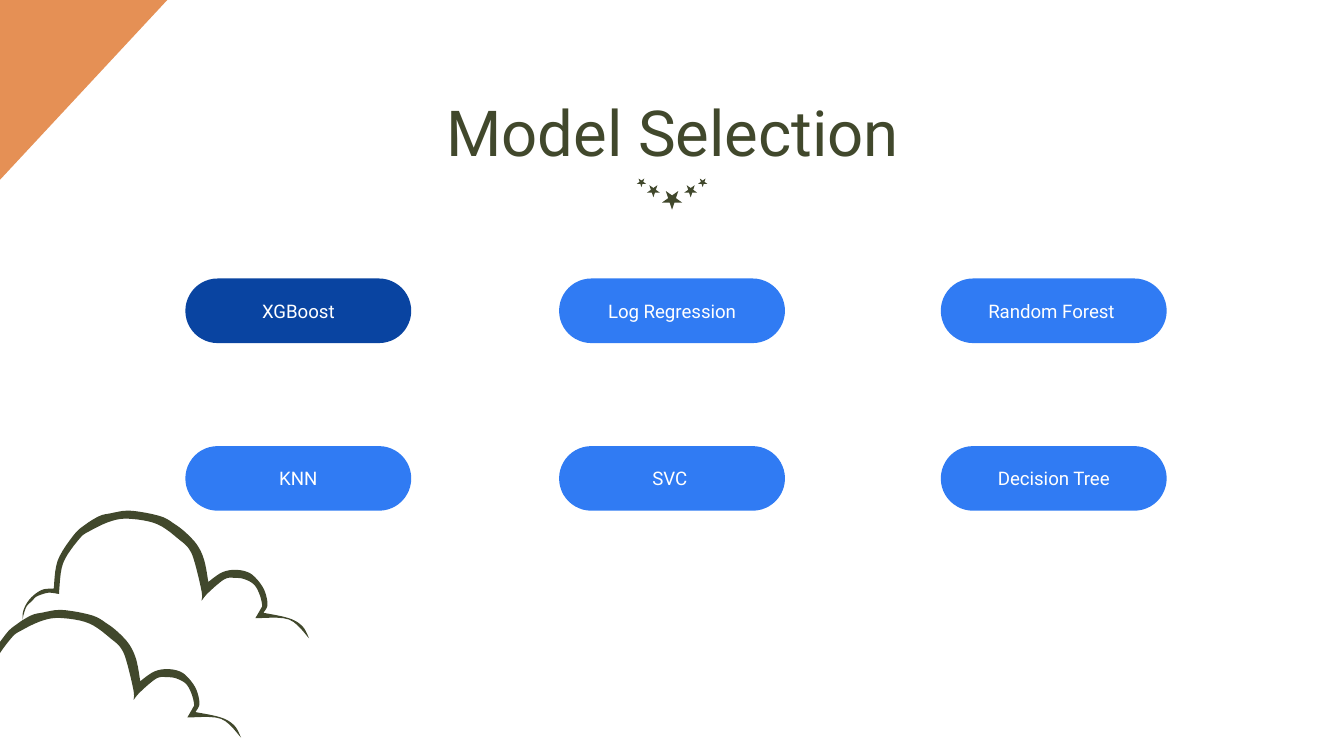
from itertools import product

from pptx import Presentation
from pptx.dml.color import RGBColor
from pptx.enum.shapes import MSO_SHAPE
from pptx.enum.text import MSO_ANCHOR, PP_ALIGN
from pptx.util import Pt

OLIVE = RGBColor(0x41, 0x48, 0x2C)
ORANGE = RGBColor(0xE5, 0x90, 0x55)
NAVY = RGBColor(0x09, 0x44, 0xA1)
BLUE = RGBColor(0x30, 0x7B, 0xF3)
WHITE = RGBColor(0xFF, 0xFF, 0xFF)

CLOUD_UNITS = (213, 95)
CLOUD_CURVES = [
    [(23, 58), (26, 37), (38, 18), (47, 10), (57, 4), (65, 2), (80, 0),
     (102, 4), (113, 10), (122, 17), (130, 26), (135, 37), (138, 53)],
    [(138, 53), (148, 46), (158, 44), (168, 46), (175, 52), (180, 60),
     (182, 70), (179, 76)],
    [(179, 76), (198, 80), (208, 86), (213, 95)],
    [(213, 95), (198, 81), (173, 80)],
    [(173, 80), (177, 73), (178, 70), (176, 62), (172, 55), (165, 51),
     (158, 50), (150, 51), (138, 61), (133, 67)],
    [(133, 67), (133, 60), (128, 39), (124, 29), (117, 22), (100, 10),
     (79, 6), (65, 8), (50, 15), (42, 21), (30, 39), (27, 60)],
    [(27, 62), (20, 61), (15, 62), (10, 64), (7, 67), (3, 71), (1, 76),
     (0, 81), (1, 87)],
    [(1, 87), (0, 76), (5, 66), (14, 59), (23, 58)],
]
MODELS = [
    ["XGBoost", "Log Regression", "Random Forest "],
    ["KNN", "SVC ", "Decision Tree"],
]


def set_values(target, values):
    """Set every attribute named in values on target."""
    for name, value in values.items():
        setattr(target, name, value)


def paint(shape, color):
    """Give a shape a flat fill without line or shadow."""
    shape.shadow.inherit = False
    shape.fill.solid()
    shape.fill.fore_color.rgb = color
    shape.line.fill.background()


def write(shape, text, size, color, anchor, wrap=True):
    """Write one centred line of text into a shape."""
    frame = shape.text_frame
    inset = Pt(7.2)
    set_values(frame, {
        "word_wrap": wrap, "vertical_anchor": anchor,
        "margin_left": inset, "margin_right": inset,
        "margin_top": inset, "margin_bottom": inset,
    })
    para = frame.paragraphs[0]
    para.alignment = PP_ALIGN.CENTER
    span = para.add_run()
    span.text = text
    set_values(span.font, {"size": Pt(size), "name": "Roboto"})
    span.font.color.rgb = color


def smooth(knots, steps=6):
    """Return points on a Catmull-Rom curve through the knots."""
    padded = [knots[0], *knots, knots[-1]]
    points = [knots[0]]
    for a, b, c, d in zip(padded, padded[1:], padded[2:], padded[3:]):
        for step in range(1, steps + 1):
            t = step / steps
            points.append(tuple(
                q + t * (r - p) / 2
                + t ** 2 * (2 * p - 5 * q + 4 * r - s) / 2
                + t ** 3 * (3 * q - p - 3 * r + s) / 2
                for p, q, r, s in zip(a, b, c, d)))
    return points


def add_outline(page, points, color):
    """Draw a closed filled outline through points."""
    start, *rest = [(Pt(x), Pt(y)) for x, y in points]
    builder = page.shapes.build_freeform(*start)
    builder.add_line_segments(rest, close=True)
    paint(builder.convert_to_shape(), color)


def add_cloud(page, left, top, width, height):
    """Draw a brushed cloud line that fills the box."""
    across, down = width / CLOUD_UNITS[0], height / CLOUD_UNITS[1]
    points = [(left + x * across, top + y * down)
              for curve in CLOUD_CURVES for x, y in smooth(curve)]
    add_outline(page, points, OLIVE)


def add_corner(page, left, top, width, height):
    """Draw the triangle in the upper left corner of the box."""
    add_outline(page, [(left, top), (left + width, top),
                       (left, top + height)], ORANGE)


def add_title(page, left, top, width, height):
    """Place the title in the box."""
    box = page.shapes.add_textbox(Pt(left), Pt(top), Pt(width), Pt(height))
    write(box, "Model Selection", 34, OLIVE, MSO_ANCHOR.TOP)


def add_stars(page, left, top, width, height):
    """Hang five stars in a V that spans the box."""
    middle = left + width / 2
    stars = [(0, 10.8, height - 10)]
    stars += [(side * offset, size, drop) for side in (-1, 1)
              for offset, size, drop in [(10, 7, 3.6), (16.4, 5, 0)]]
    for offset, size, drop in stars:
        star = page.shapes.add_shape(
            MSO_SHAPE.STAR_5_POINT, Pt(middle + offset - size / 2),
            Pt(top + drop), Pt(size), Pt(size * 0.93))
        star.rotation = 180
        paint(star, OLIVE)


def add_models(page, left, top, width, height):
    """Place the model pills in a grid, the chosen one darker."""
    pill_width, pill_height = 121, 34.6
    columns = [left, left + 200.2, left + width - pill_width]
    rows = [top, top + height - pill_height]
    for row, column in product(range(2), range(3)):
        pill = page.shapes.add_shape(
            MSO_SHAPE.ROUNDED_RECTANGLE, Pt(columns[column]), Pt(rows[row]),
            Pt(pill_width), Pt(pill_height))
        pill.adjustments[0] = 0.5
        name = MODELS[row][column]
        paint(pill, NAVY if name == "XGBoost" else BLUE)
        write(pill, name, 10, WHITE, MSO_ANCHOR.MIDDLE)


def main():
    """Build the slide and save it."""
    deck = Presentation()
    set_values(deck, {"slide_width": Pt(720), "slide_height": Pt(405)})
    page = deck.slides.add_slide(deck.slide_layouts[6])
    for left, top in [(12.24, 273.6), (-24.2, 326.8)]:
        add_cloud(page, left, top, 153.4, 68.4)
    add_corner(page, -12, -5.8, 107, 115)
    add_title(page, 56.9, 42.5, 607, 45.4)
    add_stars(page, 341.3, 95.6, 37.4, 16.7)
    add_models(page, 99.3, 149.2, 525.7, 124.4)
    deck.save("out.pptx")


if __name__ == "__main__":
    main()
